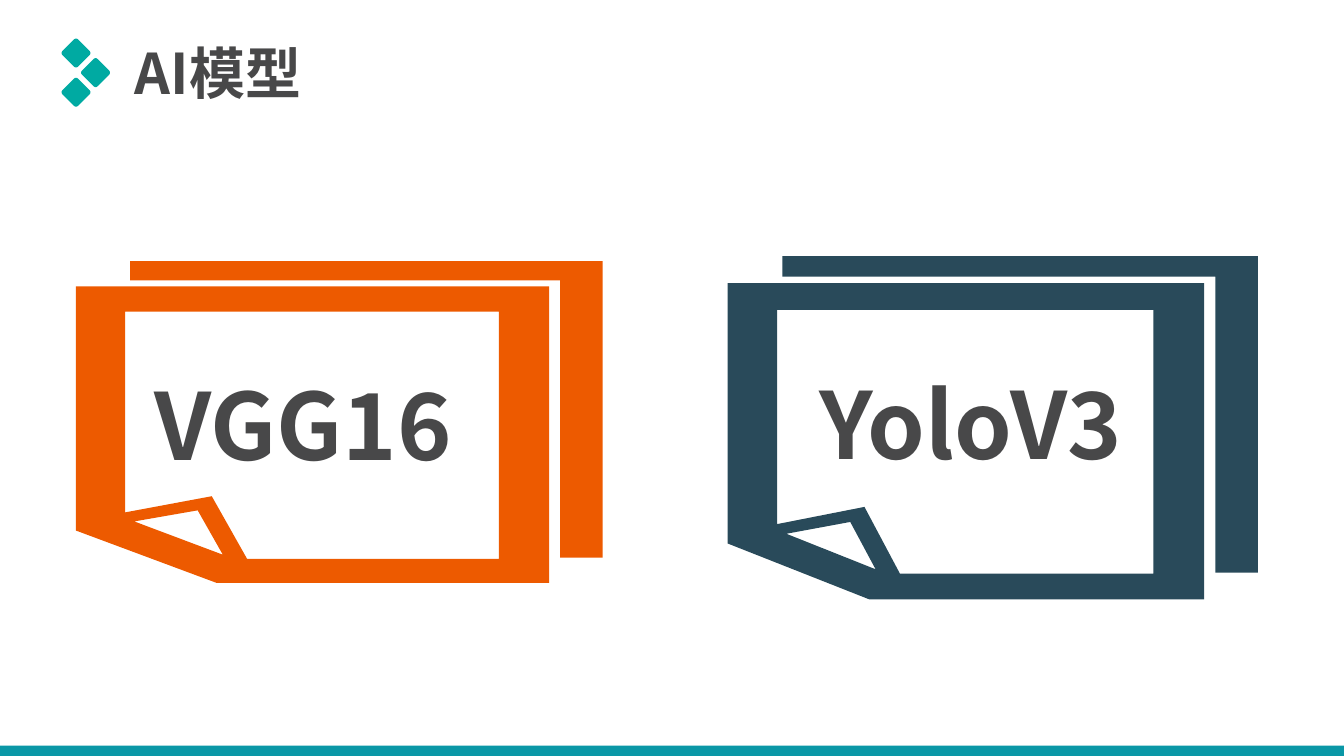
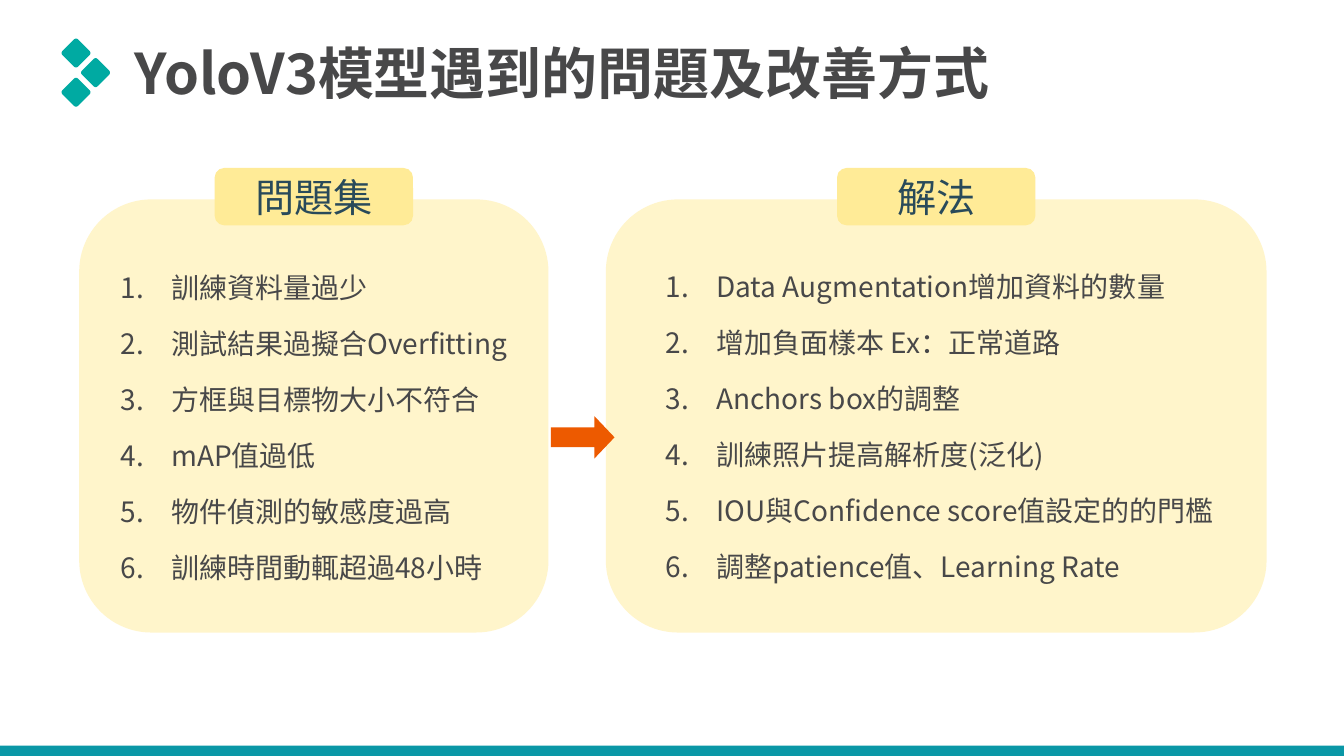
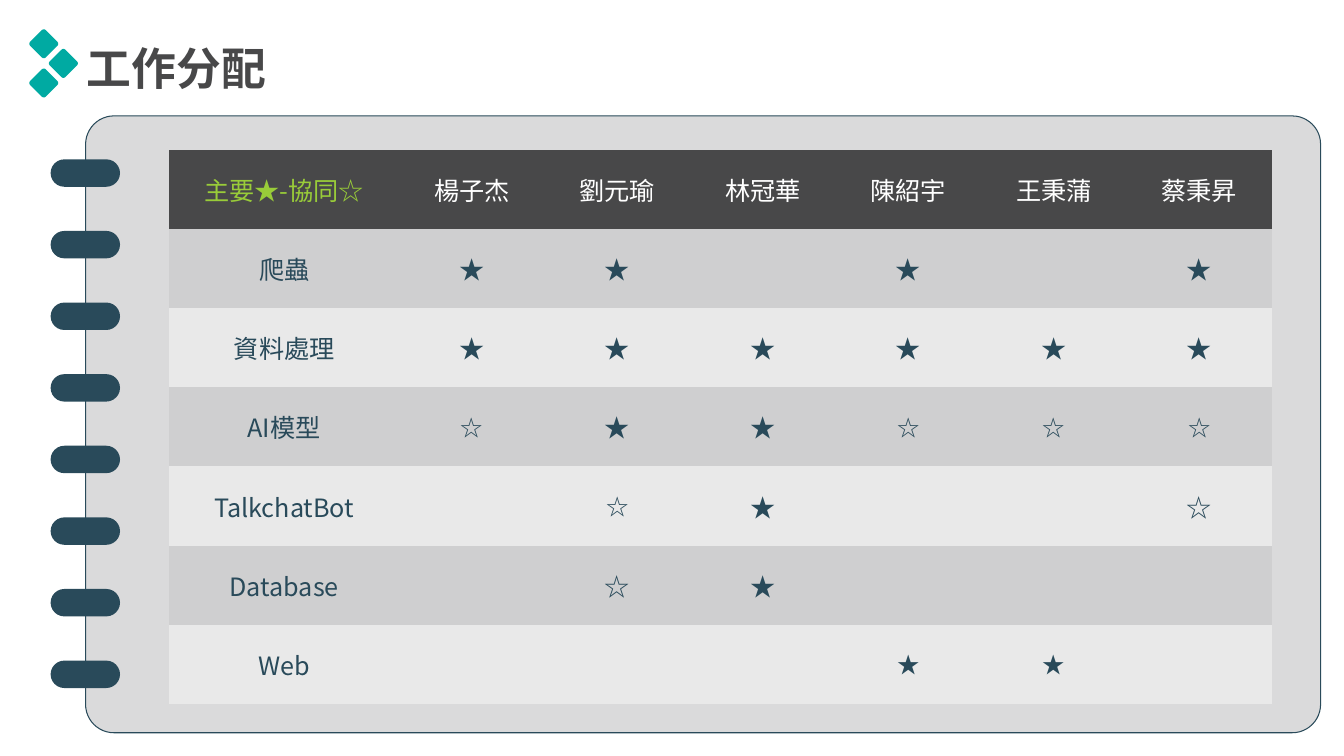
import pptx
import pptx.dml.color
import pptx.enum.shapes
import pptx.enum.text
import pptx.oxml.ns
import pptx.util
from lxml import etree

Pt = pptx.util.Pt
SHAPE = pptx.enum.shapes.MSO_SHAPE
ALIGN = pptx.enum.text.PP_ALIGN
MIDDLE = pptx.enum.text.MSO_ANCHOR.MIDDLE

FONT = "Noto Sans CJK SC"
INK = "484849"
NAVY = "294A5A"
ORANGE = "ED5A00"
TEAL = "00AAA2"
FOOTER = "0A97A6"
NO_TABLE_STYLE = "{2D5ABB26-0587-4C30-8999-92F81FD0307C}"

# Closed contours of two stacked sheets with a curled corner, on a 523 by 319 grid
SHEET_GRID = (523, 319)
SHEET_CONTOURS = [
    [(54, 0), (523, 0), (523, 294), (481, 294), (481, 19), (54, 19)],
    [(0, 25), (470, 25), (470, 319), (140, 319), (0, 267)],
    [(49, 249), (135, 233), (170, 295), (420, 295), (420, 50), (49, 50)],
    [(146, 291), (121, 247), (58, 258)],
]


def color(hex_code):
    return pptx.dml.color.RGBColor.from_string(hex_code)


def format_frame(frame, size, hex_code, bold=False, align=ALIGN.LEFT):
    for para in frame.paragraphs:
        para.alignment = align
        for run in para.runs:
            run.font.size = Pt(size)
            run.font.bold = bold
            run.font.color.rgb = color(hex_code)
            run.font.name = FONT
            east_asian = etree.SubElement(run.font._element, pptx.oxml.ns.qn("a:ea"))
            east_asian.set("typeface", FONT)


class Deck:
    """Holds the shared style and the slide being built."""

    def __init__(self):
        self.file = pptx.Presentation()
        self.file.slide_width = Pt(960.48)
        self.file.slide_height = Pt(540)
        self.page = None

    def add_page(self, title, left, top, width, height, size=40):
        self.page = self.file.slides.add_slide(self.file.slide_layouts[5])
        box = self.page.shapes.title
        box.left, box.top, box.width, box.height = Pt(left), Pt(top), Pt(width), Pt(height)
        frame = box.text_frame
        frame.text = title
        frame.auto_size = pptx.enum.text.MSO_AUTO_SIZE.NONE
        frame.vertical_anchor = MIDDLE
        format_frame(frame, size, INK, bold=True)

    def paint(self, shape, fill, line=None):
        shape.shadow.inherit = False
        shape.fill.solid()
        shape.fill.fore_color.rgb = color(fill)
        if line:
            shape.line.color.rgb = color(line)
            shape.line.width = Pt(0.75)
        else:
            shape.line.fill.background()

    def shape(self, kind, left, top, width, height, fill, adjust=(), line=None):
        shape = self.page.shapes.add_shape(kind, Pt(left), Pt(top), Pt(width), Pt(height))
        for index, value in enumerate(adjust):
            shape.adjustments[index] = value
        self.paint(shape, fill, line)
        return shape

    def marker(self, left, top):
        """Three rounded diamonds beside the title; left and top locate the first."""
        for across, down in ((0, 0), (14, 14), (0, 28)):
            diamond = self.shape(SHAPE.ROUNDED_RECTANGLE, left + across, top + down,
                                 15.8, 15.8, TEAL, [0.12])
            diamond.rotation = 45

    def footer(self):
        self.shape(SHAPE.RECTANGLE, 0, 532.6, 960.48, 7.6, FOOTER)

    def standard_page(self, title, title_width):
        self.add_page(title, 89.2, 23.8, title_width, 55.4)
        self.marker(46.4, 30)
        self.footer()

    def sheets(self, left, top, width, height, fill):
        scale = (Pt(width) / SHEET_GRID[0], Pt(height) / SHEET_GRID[1])
        first, *others = SHEET_CONTOURS
        builder = self.page.shapes.build_freeform(*first[0], scale=scale)
        builder.add_line_segments(first[1:], close=True)
        for contour in others:
            builder.move_to(*contour[0])
            builder.add_line_segments(contour[1:], close=True)
        self.paint(builder.convert_to_shape(Pt(left), Pt(top)), fill)

    def text_box(self, text, left, top, width, height):
        box = self.page.shapes.add_textbox(Pt(left), Pt(top), Pt(width), Pt(height))
        box.text_frame.word_wrap = True
        box.text_frame.text = text
        return box.text_frame

    def big_label(self, text, left, top, width, height):
        frame = self.text_box(text, left, top, width, height)
        frame.vertical_anchor = MIDDLE
        format_frame(frame, 66, INK, bold=True, align=ALIGN.CENTER)

    def numbered_list(self, items, left, top, width, height):
        frame = self.text_box("\n".join(items), left, top, width, height)
        for index, para in enumerate(frame.paragraphs):
            para.line_spacing = 1.5
            para.space_before = Pt(4 if index else 0)
            properties = para._p.get_or_add_pPr()
            properties.set("marL", str(Pt(36)))
            properties.set("indent", str(-Pt(36)))
            number = etree.SubElement(properties, pptx.oxml.ns.qn("a:buAutoNum"))
            number.set("type", "arabicPeriod")
        format_frame(frame, 20, INK)

    def card(self, heading, left, width):
        """Pale panel with a heading tab centred on its top edge."""
        self.shape(SHAPE.ROUNDED_RECTANGLE, left, 142.4, width, 309.4, "FFF5CB")
        tab = self.shape(SHAPE.ROUNDED_RECTANGLE, left + (width - 141.8) / 2, 120,
                         141.8, 41, "FFEB97")
        tab.text_frame.text = heading
        tab.text_frame.vertical_anchor = MIDDLE
        format_frame(tab.text_frame, 28, NAVY, align=ALIGN.CENTER)

    def table(self, rows, small_cells, left, top, column_widths, row_height):
        frame = self.page.shapes.add_table(
            len(rows), len(column_widths), Pt(left), Pt(top),
            Pt(sum(column_widths)), Pt(row_height * len(rows)))
        table = frame.table
        table.first_row = table.horz_banding = False
        frame._element.find(".//" + pptx.oxml.ns.qn("a:tableStyleId")).text = NO_TABLE_STYLE
        for column, width in zip(table.columns, column_widths):
            column.width = Pt(width)
        for row_index, row in enumerate(rows):
            table.rows[row_index].height = Pt(row_height)
            band = "CFCFD0" if row_index % 2 else "E9E9E9"
            for column_index, text in enumerate(row):
                cell = table.cell(row_index, column_index)
                cell.fill.solid()
                cell.fill.fore_color.rgb = color(band if row_index else INK)
                cell.vertical_anchor = MIDDLE
                cell.text_frame.text = text.strip()
                ink = NAVY
                if row_index == 0:
                    ink = "FFFFFF" if column_index else "99CC39"
                size = 16 if (row_index, column_index) in small_cells else 18
                format_frame(cell.text_frame, size, ink, align=ALIGN.CENTER)


def build_models(deck):
    deck.standard_page("AI模型", 471)
    deck.sheets(54.2, 186.6, 376.4, 229.8, ORANGE)
    deck.big_label("VGG16", 85, 259.2, 262.8, 87)
    deck.sheets(520, 183, 379, 245.2, NAVY)
    deck.big_label("YoloV3", 570.2, 257, 247, 90)


def build_problems(deck):
    deck.standard_page("YoloV3模型遇到的問題及改善方式", 737)
    deck.card("問題集", 56.6, 335.4)
    deck.card("解法", 433, 472.2)
    deck.numbered_list([
        "訓練資料量過少",
        "測試結果過擬合Overfitting",
        "方框與目標物大小不符合",
        "mAP值過低",
        "物件偵測的敏感度過高",
        "訓練時間動輒超過48小時",
    ], 79.2, 177.8, 304.6, 250)
    deck.numbered_list([
        "Data Augmentation增加資料的數量",
        "增加負面樣本 Ex：正常道路",
        "Anchors box的調整",
        "訓練照片提高解析度(泛化)",
        "IOU與Confidence score值設定的的門檻",
        "調整patience值、Learning Rate",
    ], 468.8, 176.8, 428.4, 250)
    deck.shape(SHAPE.RIGHT_ARROW, 393.8, 297.2, 45.4, 30.4, ORANGE, [0.465, 0.475])


def build_duties(deck):
    deck.add_page("工作分配", 54.8, 25.2, 471, 46, size=32)
    deck.shape(SHAPE.ROUNDED_RECTANGLE, 61.2, 82.8, 882.6, 440.6, "DADADB", [0.046], NAVY)
    for index in range(8):
        deck.shape(SHAPE.ROUNDED_RECTANGLE, 36.2, 113.8 + 51.15 * index, 49.6, 19.6,
                   NAVY, [0.5])
    deck.marker(23.4, 23.4)
    people = ["楊子杰", "劉元瑜", "林冠華", "陳紹宇", "王秉蒲", "蔡秉昇"]
    duties = [
        ("爬蟲", "★★ ★ ★"),
        ("資料處理", "★★★★★★"),
        ("AI模型", "☆★★☆☆☆"),
        ("TalkchatBot", " ☆★  ☆"),
        ("Database", " ☆★   "),
        ("Web", "   ★★ "),
    ]
    rows = [["主要★-協同☆", *people]] + [[duty, *marks] for duty, marks in duties]
    small_cells = {(3, 1), (3, 4), (3, 5), (3, 6), (4, 2), (6, 4), (6, 5)}
    deck.table(rows, small_cells, 121, 107.2, [164.2] + [104] * 6, 56.5)


def main():
    deck = Deck()
    build_models(deck)
    build_problems(deck)
    build_duties(deck)
    deck.file.save("out.pptx")


if __name__ == "__main__":
    main()
